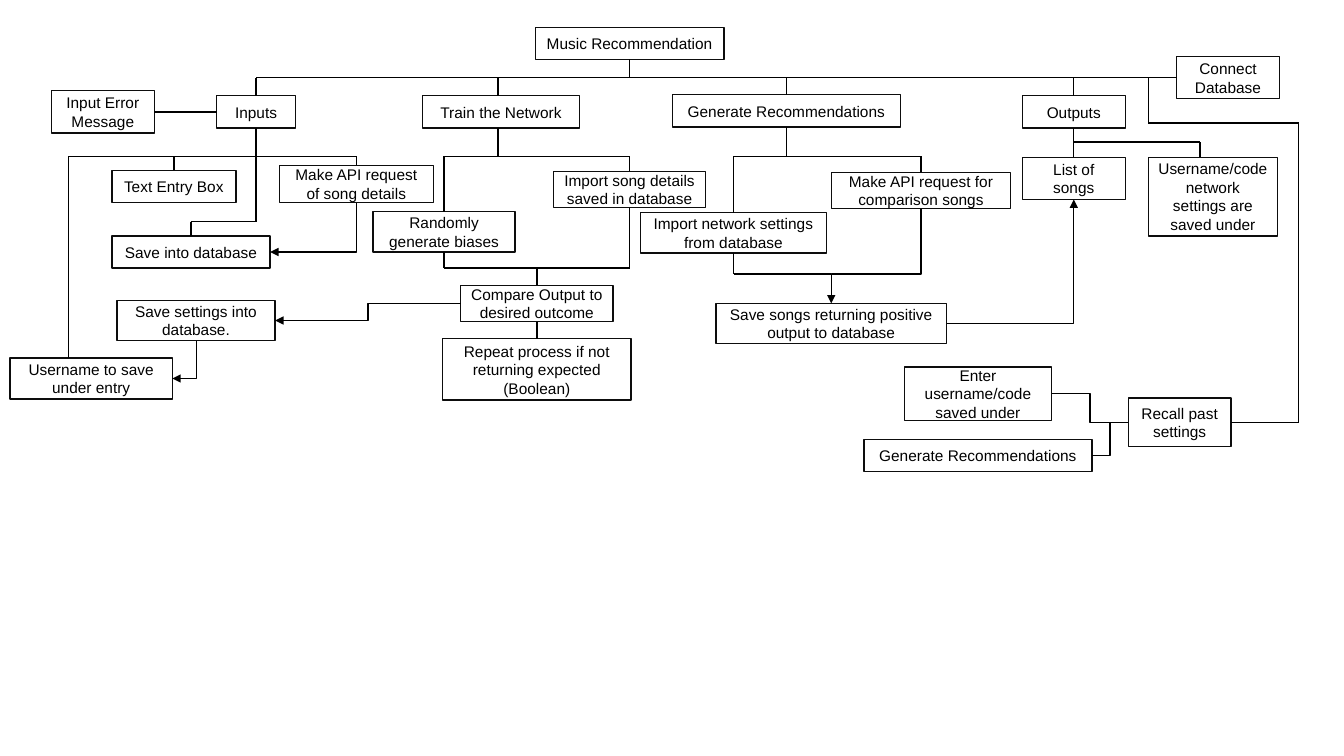
from lxml.etree import SubElement
from pptx import Presentation
from pptx.dml.color import RGBColor
from pptx.enum.shapes import MSO_CONNECTOR, MSO_SHAPE
from pptx.enum.text import MSO_ANCHOR, PP_ALIGN
from pptx.oxml.ns import qn
from pptx.util import Inches, Pt

COLORS = {"border": "0D0D0D", "wire": "000000", "text": "000000"}
TOP, LEFT, BOTTOM, RIGHT = range(4)
VERTICAL = (TOP, BOTTOM)


def color(name):
    return RGBColor.from_string(COLORS[name])


def write(box, text, font="Arial", size=11, ink="text", align=PP_ALIGN.CENTER):
    frame = box.text_frame
    frame.word_wrap = True
    frame.vertical_anchor = MSO_ANCHOR.MIDDLE
    frame.margin_left = frame.margin_right = Inches(0.09)
    para = frame.paragraphs[0]
    para.alignment = align
    span = para.add_run()
    span.text = text
    span.font.name = font
    span.font.size = Pt(size)
    span.font.color.rgb = color(ink)


def style_wire(wire, width=1, arrow=False):
    wire.line.color.rgb = color("wire")
    wire.line.width = Pt(width)
    properties = wire._element.spPr
    if arrow:
        SubElement(properties.find(qn("a:ln")), qn("a:tailEnd"), type="triangle")
    SubElement(properties, qn("a:effectLst"))


def join(page, start, start_side, end, end_side, kind=MSO_CONNECTOR.STRAIGHT, **style):
    """Connect the middles of two box sides."""
    wire = page.shapes.add_connector(kind, 0, 0, 0, 0)
    wire.begin_connect(start, start_side)
    wire.end_connect(end, end_side)
    style_wire(wire, **style)
    return wire


def elbow(page, start, start_side, end, end_side, bend=0.5, **style):
    """Connect two boxes with one right angle, or with two that turn at bend."""
    wire = join(page, start, start_side, end, end_side, MSO_CONNECTOR.ELBOW, **style)
    properties = wire._element.spPr
    geometry = properties.find(qn("a:prstGeom"))
    if (start_side in VERTICAL) != (end_side in VERTICAL):
        geometry.set("prst", "bentConnector2")
    elif bend != 0.5:
        SubElement(geometry.find(qn("a:avLst")), qn("a:gd"),
                   name="adj1", fmla=f"val {round(bend * 100000)}")
    # A path that leaves downwards is a sideways path turned by 90 degrees
    if start_side == BOTTOM:
        rightwards = wire.end_x > wire.begin_x
        left, top, width, height = wire.left, wire.top, wire.width, wire.height
        wire.left = left + (width - height) // 2
        wire.top = top + (height - width) // 2
        wire.width, wire.height = height, width
        transform = properties.find(qn("a:xfrm"))
        transform.set("rot", "5400000")
        transform.set("flipH", "0")
        transform.set("flipV", "1" if rightwards else "0")


class Region:
    """Places boxes and lines relative to its own top left corner."""

    def __init__(self, page, left, top):
        self.page = page
        self.left, self.top = Inches(left), Inches(top)

    def box(self, text, left, top, width, height):
        box = self.page.shapes.add_shape(
            MSO_SHAPE.RECTANGLE, self.left + Inches(left), self.top + Inches(top),
            Inches(width), Inches(height))
        box.shadow.inherit = False
        box.fill.background()
        box.line.color.rgb = color("border")
        box.line.width = Pt(1)
        write(box, text)
        return box

    def line(self, *points):
        """Draw straight lines from point to point."""
        for (x1, y1), (x2, y2) in zip(points, points[1:]):
            style_wire(self.page.shapes.add_connector(
                MSO_CONNECTOR.STRAIGHT, self.left + Inches(x1), self.top + Inches(y1),
                self.left + Inches(x2), self.top + Inches(y2)))

    def reach(self, box, side, level):
        """Draw a line from the middle of a side straight out to a level."""
        if side in VERTICAL:
            x, y = box.left + box.width // 2, self.top + Inches(level)
        else:
            x, y = self.left + Inches(level), box.top + box.height // 2
        wire = self.page.shapes.add_connector(MSO_CONNECTOR.STRAIGHT, x, y, x, y)
        wire.begin_connect(box, side)
        style_wire(wire)


def add_trunk(page, left, top):
    area = Region(page, left, top)
    title = area.box("Music Recommendation", 0, 0, 1.87, 0.32)
    database = area.box("Connect Database", 6.36, 0.29, 1.02, 0.42)
    area.reach(title, BOTTOM, 0.5)
    area.reach(database, LEFT, -2.77)


def add_inputs(page, left, top):
    area = Region(page, left, top)
    error = area.box("Input Error Message", 0.41, 0, 1.02, 0.42)
    inputs = area.box("Inputs", 2.05, 0.05, 0.78, 0.32)
    entry = area.box("Text Entry Box", 1.01, 0.79, 1.23, 0.32)
    request = area.box("Make API request of song details", 2.67, 0.74, 1.53, 0.37)
    save = area.box("Save into database", 1.01, 1.44, 1.57, 0.32)
    settings = area.box("Save settings into database.", 1.06, 2.08, 1.57, 0.4)
    username = area.box("Username to save under entry", 0, 2.65, 1.61, 0.41)
    # Branches
    join(page, error, RIGHT, inputs, LEFT)
    area.reach(inputs, TOP, -0.13)
    area.reach(inputs, BOTTOM, 1.3)
    area.line((3.44, 0.65), (0.58, 0.65), (0.58, 2.65))
    area.reach(entry, TOP, 0.65)
    area.reach(request, TOP, 0.65)
    area.line((1.79, 1.3), (2.44, 1.3))
    area.reach(save, TOP, 1.3)
    # Arrows
    elbow(page, request, BOTTOM, save, RIGHT, arrow=True)
    elbow(page, settings, BOTTOM, username, RIGHT, width=0.75, arrow=True)
    return settings


def add_training(page, left, top):
    area = Region(page, left, top)
    area.box("Train the Network", 0.49, 0, 1.56, 0.32)
    biases = area.box("Randomly generate biases", 0, 1.15, 1.41, 0.4)
    details = area.box("Import song details saved in database", 1.79, 0.75, 1.51, 0.36)
    compare = area.box("Compare Output to desired outcome", 0.87, 1.88, 1.51, 0.36)
    repeat = area.box("Repeat process if not returning expected (Boolean)",
                      0.69, 2.41, 1.87, 0.61)
    # Branches split above the two steps and meet again below them
    area.line((1.24, -0.18), (1.24, 0))
    area.line((1.24, 0.32), (1.24, 0.6))
    for side, level in ((TOP, 0.6), (BOTTOM, 1.71)):
        area.line((0.7, level), (2.55, level))
        area.reach(biases, side, level)
        area.reach(details, side, level)
    area.reach(compare, TOP, 1.71)
    join(page, compare, BOTTOM, repeat, TOP)
    return compare


def add_generation(page, left, top):
    area = Region(page, left, top)
    generate = area.box("Generate Recommendations", 0.32, -0.01, 2.26, 0.32)
    settings = area.box("Import network settings from database", 0, 1.16, 1.85, 0.4)
    request = area.box("Make API request for comparison songs", 1.9, 0.76, 1.77, 0.36)
    songs = area.box("Save songs returning positive output to database",
                     0.75, 2.06, 2.29, 0.4)
    # Branches
    area.reach(generate, TOP, -0.18)
    area.reach(generate, BOTTOM, 0.6)
    area.line((0.93, 0.6), (2.78, 0.6))
    area.reach(settings, TOP, 0.6)
    area.reach(request, TOP, 0.6)
    area.reach(settings, BOTTOM, 1.77)
    area.line((0.93, 1.77), (1.89, 1.77))
    elbow(page, request, BOTTOM, songs, TOP, bend=0.69, arrow=True)
    return songs


def add_outputs(page, left, top):
    area = Region(page, left, top)
    outputs = area.box("Outputs", 0, 0, 1.02, 0.32)
    songs = area.box("List of songs", 0, 0.61, 1.02, 0.42)
    area.box("Username/code network settings are saved under", 1.25, 0.61, 1.28, 0.78)
    area.reach(outputs, TOP, -0.18)
    join(page, outputs, BOTTOM, songs, TOP)
    area.line((0.51, 0.46), (1.76, 0.46), (1.76, 0.61))
    return songs


def add_recall(page, left, top):
    area = Region(page, left, top)
    enter = area.box("Enter username/code saved under", 0.4, 0, 1.46, 0.53)
    generate = area.box("Generate Recommendations", 0, 0.72, 2.26, 0.32)
    recall = area.box("Recall past settings", 2.62, 0.31, 1.02, 0.48)
    # Route down from the trunk
    area.line((2.82, -2.87), (2.82, -2.42), (4.31, -2.42), (4.31, 0.55))
    area.reach(recall, RIGHT, 4.31)
    elbow(page, enter, RIGHT, recall, LEFT)
    elbow(page, recall, LEFT, generate, RIGHT)


def main():
    deck = Presentation()
    deck.slide_width, deck.slide_height = Inches(13.33), Inches(7.5)
    page = deck.slides.add_slide(deck.slide_layouts[6])
    add_trunk(page, 5.31, 0.27)
    saved_settings = add_inputs(page, 0.1, 0.9)
    compare = add_training(page, 3.7, 0.95)
    saved_songs = add_generation(page, 6.35, 0.95)
    song_list = add_outputs(page, 10.14, 0.95)
    add_recall(page, 8.57, 3.64)
    # Arrows between regions
    elbow(page, compare, LEFT, saved_settings, RIGHT, arrow=True)
    elbow(page, saved_songs, RIGHT, song_list, BOTTOM, arrow=True)
    deck.save("out.pptx")


if __name__ == "__main__":
    main()
